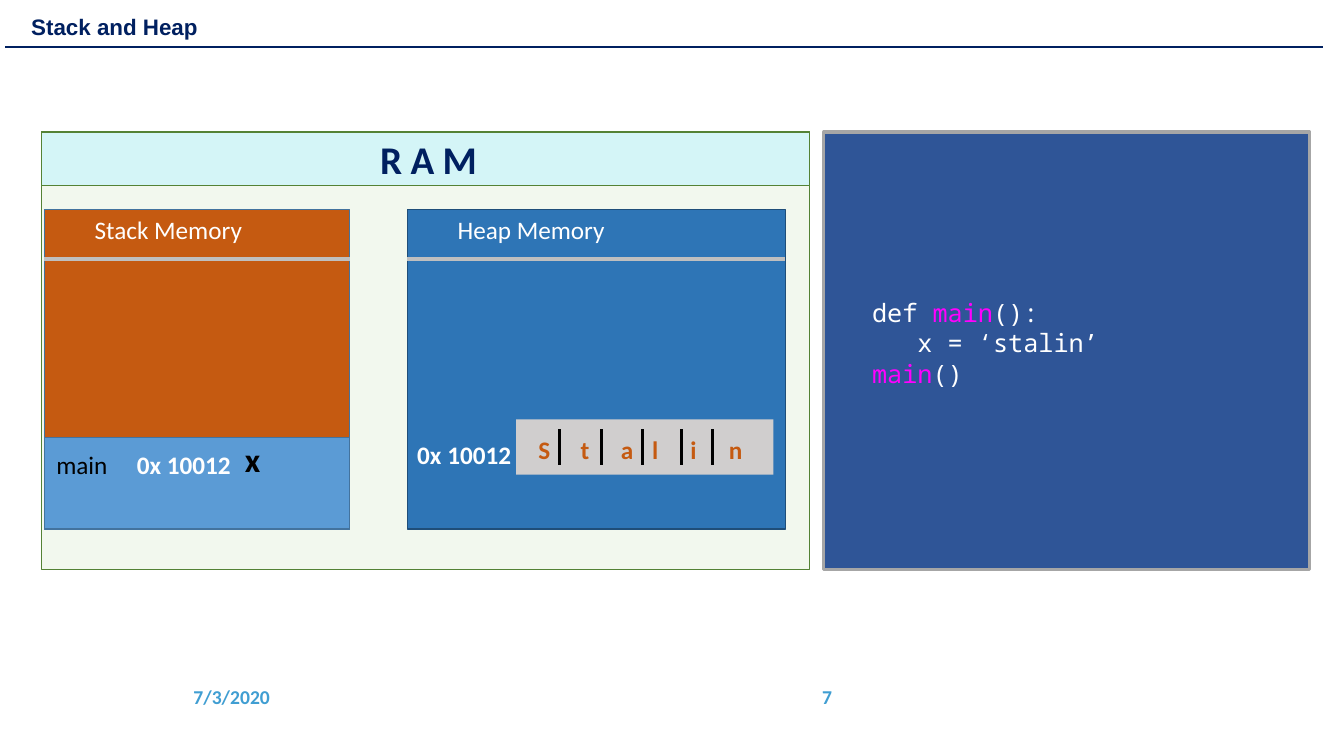
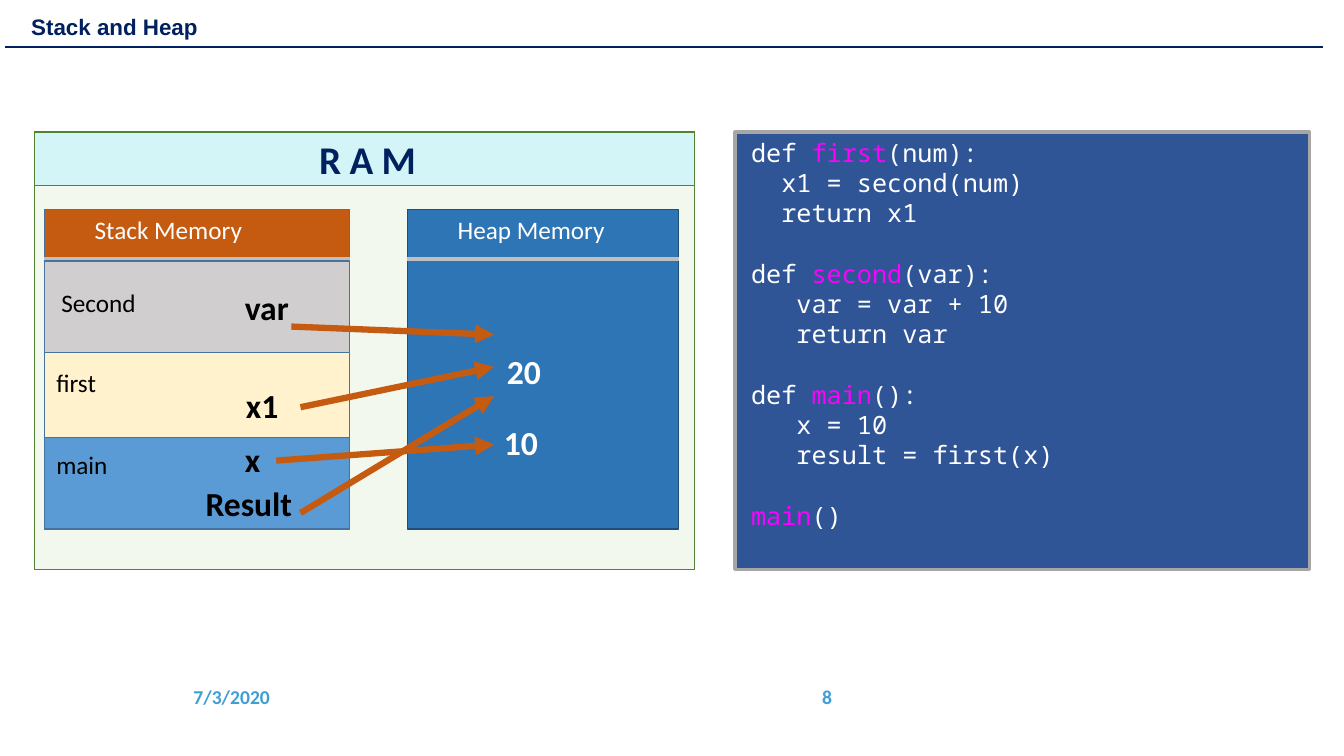
from lxml import etree
from pptx import Presentation
from pptx import util as u
from pptx.dml.color import RGBColor
from pptx.enum import shapes, text
from pptx.oxml.ns import qn

NAVY = RGBColor(0x00, 0x20, 0x60)
WHITE = RGBColor(0xFF, 0xFF, 0xFF)
BLACK = RGBColor(0x00, 0x00, 0x00)
SKY = RGBColor(0x40, 0x9E, 0xD2)
MINT = RGBColor(0xE2, 0xF0, 0xD9)
GREEN = RGBColor(0x54, 0x82, 0x35)
AQUA = RGBColor(0xD4, 0xF5, 0xF7)
ORANGE = RGBColor(0xC5, 0x5A, 0x11)
BLUE = RGBColor(0x2E, 0x75, 0xB6)
DARK_BLUE = RGBColor(0x1F, 0x4E, 0x79)
EDGE = RGBColor(0x43, 0x73, 0x9E)
FRAME_BLUE = RGBColor(0x5B, 0x9B, 0xD5)
CREAM = RGBColor(0xFF, 0xF2, 0xCC)
PALE_GREY = RGBColor(0xD0, 0xCE, 0xCE)
RULE_GREY = RGBColor(0xBF, 0xBF, 0xBF)
CODE_BLUE = RGBColor(0x2F, 0x55, 0x97)
CODE_EDGE = RGBColor(0xA6, 0xA6, 0xA6)
MAGENTA = RGBColor(0xFF, 0x00, 0xFF)

BODY_FONT, TITLE_FONT, CODE_FONT = "Calibri", "Arial", "Noto Sans Mono"
CODE_SIZE, CODE_LINE, CODE_CHAR = 18, 21.6, 10.8

# Grid of 0.1 inch cells
PANEL_TOP, PANEL_ROWS = 13.1, 43.4
MEMORY_TOP, MEMORY_ROWS, MEMORY_RULE = 20.8, 31.7, 25.7
STACK_LEFT, STACK_COLS, HEAP_LEFT = 4.4, 30.3, 40.4
RIGHT_EDGE = 129.9

# Blocks of lines: indent in characters, then spans that alternate white and magenta
STRING_CODE = [[
    (0, "def ", "main", "():"),
    (3, "x = ‘stalin’"),
    (0, "", "main", "()"),
]]
CALLS_CODE = [
    [(0, "def ", "first", "(num):"), (2, "x1 = second(num)"), (2, "return x1")],
    [(0, "def ", "second", "(var):"), (3, "var = var + 10"), (3, "return var")],
    [(0, "def ", "main", "():"), (3, "x = 10"), (3, "result = first(x)")],
    [(0, "", "main", "()")],
]


def grid(*cells):
    return [u.Inches(cell / 10) for cell in cells]


def add_span(para, words, size, color, font=BODY_FONT, bold=False):
    span = para.add_run()
    span.text = words
    span.font.size = u.Pt(size)
    span.font.name = font
    span.font.bold = bold
    span.font.color.rgb = color
    return span


def add_box(slide, left, top, cols, rows, fill, edge=None, width=1):
    box = slide.shapes.add_shape(shapes.MSO_SHAPE.RECTANGLE, *grid(left, top, cols, rows))
    box.shadow.inherit = False
    box.fill.solid()
    box.fill.fore_color.rgb = fill
    if edge is None:
        box.line.fill.background()
    else:
        box.line.color.rgb = edge
        box.line.width = u.Pt(width)
    return box


def add_label(slide, words, left, top, cols, size=18, color=BLACK, bold=False):
    """Add one line of text in a box as tall as that line and return its paragraph."""
    label = slide.shapes.add_textbox(*grid(left, top, cols, size / 6 + 1))
    label.text_frame.word_wrap = True
    para = label.text_frame.paragraphs[0]
    if words:
        add_span(para, words, size, color, bold=bold)
    return para


def add_line(slide, start, end, color, width, arrow=False):
    line = slide.shapes.add_connector(
        shapes.MSO_CONNECTOR.STRAIGHT, *grid(*start, *end))
    line.line.color.rgb = color
    line.line.width = u.Pt(width)
    properties = line._element.spPr
    if arrow:
        etree.SubElement(properties.find(qn("a:ln")), qn("a:tailEnd"), type="triangle")
    etree.SubElement(properties, qn("a:effectLst"))


def add_title(slide, words):
    title = slide.shapes.title
    title.left, title.top, title.width, title.height = grid(1.5, 1, 90.4, 3.5)
    title.fill.solid()
    title.fill.fore_color.rgb = WHITE
    frame = title.text_frame
    frame.auto_size = text.MSO_AUTO_SIZE.NONE
    frame.vertical_anchor = text.MSO_ANCHOR.BOTTOM
    frame.margin_left = u.Inches(0.16)
    para = frame.paragraphs[0]
    para.alignment = text.PP_ALIGN.LEFT
    para.line_spacing = 0.9
    add_span(para, words, 16, NAVY, TITLE_FONT, bold=True)
    add_line(slide, (0.5, 4.7), (131.2, 4.7), NAVY, 1.5)


def add_footer(slide, number):
    add_label(slide, "7/3/2020", 18.2, 67.5, 13.8, 14, SKY, bold=True)
    para = add_label(slide, "", 53.2, 67.5, 30.3)
    para.alignment = text.PP_ALIGN.RIGHT
    span = add_span(para, str(number), 14, SKY, bold=True)._r
    field = etree.SubElement(para._p, qn("a:fld"), type="slidenum",
                             id="{B6F15528-21DE-4FAA-801E-634DDDAF4B2B}")
    field.extend(list(span))
    para._p.remove(span)


def add_ram(slide, left, cols, heap_cols):
    """Add the RAM panel with its stack and heap areas."""
    panel = add_box(slide, left, PANEL_TOP, cols, PANEL_ROWS, MINT, GREEN)
    tint = panel._element.spPr.find(qn("a:solidFill"))[0]
    etree.SubElement(tint, qn("a:alpha"), val="44000")

    heading = add_box(slide, left, PANEL_TOP, cols, 5.3, AQUA, GREEN)
    heading.text_frame.margin_left = u.Inches(0.16)
    heading.text_frame.vertical_anchor = text.MSO_ANCHOR.MIDDLE
    para = heading.text_frame.paragraphs[0]
    para.alignment = text.PP_ALIGN.CENTER
    span = add_span(para, "RAM", 28, NAVY, bold=True)
    span._r.get_or_add_rPr().set("spc", "600")

    for name, start, wide, fill, edge in (
            ("Stack Memory", STACK_LEFT, STACK_COLS, ORANGE, EDGE),
            ("Heap Memory", HEAP_LEFT, heap_cols, BLUE, DARK_BLUE)):
        add_box(slide, start, MEMORY_TOP, wide, MEMORY_ROWS, fill, edge)
        add_line(slide, (start, MEMORY_RULE), (start + wide, MEMORY_RULE), RULE_GREY, 3)
        add_label(slide, name, start + 4, MEMORY_TOP, 22.2, color=WHITE)


def add_stack_frame(slide, top, rows, fill):
    add_box(slide, STACK_LEFT, top, STACK_COLS, rows, fill, EDGE)


def add_main_frame(slide):
    add_stack_frame(slide, 43.4, 9.1, FRAME_BLUE)
    add_label(slide, "main", 4.6, 44.1, 9.1)
    add_label(slide, "x", 23.3, 43.1, 9.1, 24, bold=True)


def add_code(slide, blocks, panel_left, left, top):
    add_box(slide, panel_left, PANEL_TOP, RIGHT_EDGE - panel_left, PANEL_ROWS,
            CODE_BLUE, CODE_EDGE, 2.25)
    line_count = sum(map(len, blocks)) + len(blocks) - 1
    listing = slide.shapes.add_textbox(
        *grid(left, top, RIGHT_EDGE - left, line_count * CODE_LINE / 7.2))
    frame = listing.text_frame
    frame.word_wrap = True
    frame.margin_left = frame.margin_right = frame.margin_top = frame.margin_bottom = 0
    para = None
    for block in blocks:
        for row, (indent, *spans) in enumerate(block):
            new_block = para is not None and row == 0
            para = frame.paragraphs[0] if para is None else frame.add_paragraph()
            if new_block:
                para.space_before = u.Pt(CODE_LINE)
            if indent:
                para._p.get_or_add_pPr().set("marL", str(u.Pt(indent * CODE_CHAR)))
            for place, words in enumerate(spans):
                if words:
                    add_span(para, words, CODE_SIZE, MAGENTA if place % 2 else WHITE, CODE_FONT)


def add_base(deck, number):
    slide = deck.slides.add_slide(deck.slide_layouts[5])
    add_title(slide, "Stack and Heap")
    add_footer(slide, number)
    return slide


def add_string_slide(deck, number):
    slide = add_base(deck, number)
    add_ram(slide, 4.1, 76.2, 37.5)
    add_code(slide, STRING_CODE, 81.7, 86.5, 29.5)
    add_main_frame(slide)
    for left, top in ((12.6, 44.1), (HEAP_LEFT, 43.1)):
        add_label(slide, "0x 10012", left, top, 16.4, color=WHITE, bold=True)
    add_box(slide, 51.2, 41.6, 25.5, 5.5, PALE_GREY)
    for letter, left in zip("Stalin", (52.4, 56.6, 60.6, 63.7, 67.5, 71.3)):
        add_label(slide, letter, left, 42.6, 3.2, color=ORANGE, bold=True)
    for col in (55.5, 59.7, 63.7, 67.6, 70.7):
        add_line(slide, (col, 42.6), (col, 46.1), BLACK, 2.25)


def add_calls_slide(deck, number):
    slide = add_base(deck, number)
    add_ram(slide, 3.4, 65.5, 26.9)
    add_code(slide, CALLS_CODE, 72.9, 74.5, 13.6)
    add_main_frame(slide)
    add_stack_frame(slide, 35, 8.4, CREAM)
    add_stack_frame(slide, 25.9, 9.1, PALE_GREY)
    add_label(slide, "first", 4.6, 35.9, 9.1)
    add_label(slide, "Second", 5.1, 28, 13)
    for name, left, top, color in (
            ("Result", 19.4, 47.4, BLACK), ("x1", 23.4, 37.7, BLACK),
            ("var", 23.3, 28, BLACK), ("10", 49, 41.4, WHITE), ("20", 49.3, 34.3, WHITE)):
        add_label(slide, name, left, top, 13, 24, color, bold=True)
    for start, end_row in (((27.4, 45.7), 44.1), ((28.9, 32.4), 33.2),
                           ((29.8, 40.4), 36.4), ((29.8, 50.9), 39.3)):
        add_line(slide, start, (49, end_row), ORANGE, 4.5, arrow=True)


def main():
    deck = Presentation()
    deck.slide_width, deck.slide_height = u.Inches(13.33), u.Inches(7.5)
    first_number = 7
    deck.element.set("firstSlideNum", str(first_number))
    for number, add_slide in enumerate((add_string_slide, add_calls_slide), first_number):
        add_slide(deck, number)
    deck.save("out.pptx")


if __name__ == "__main__":
    main()
